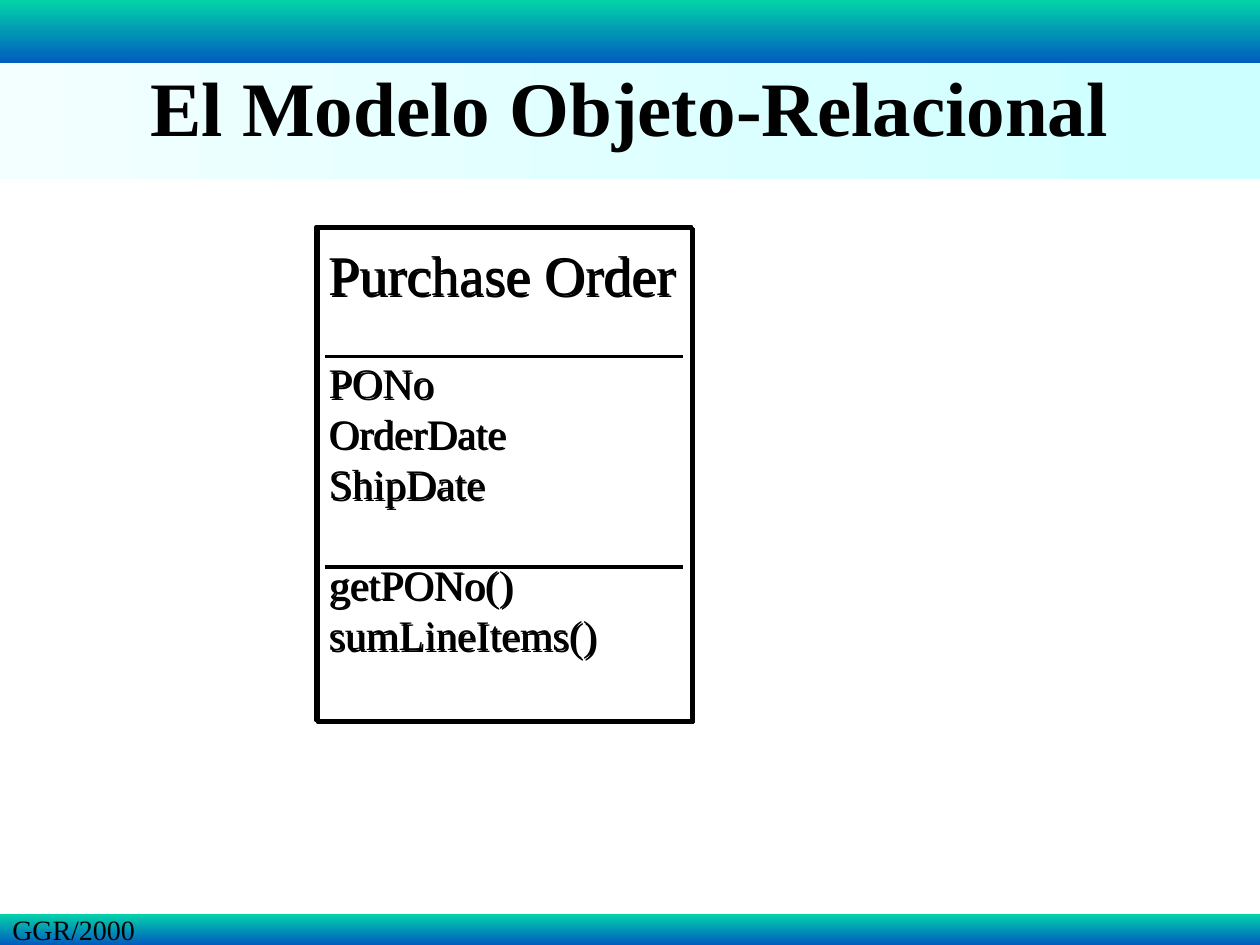
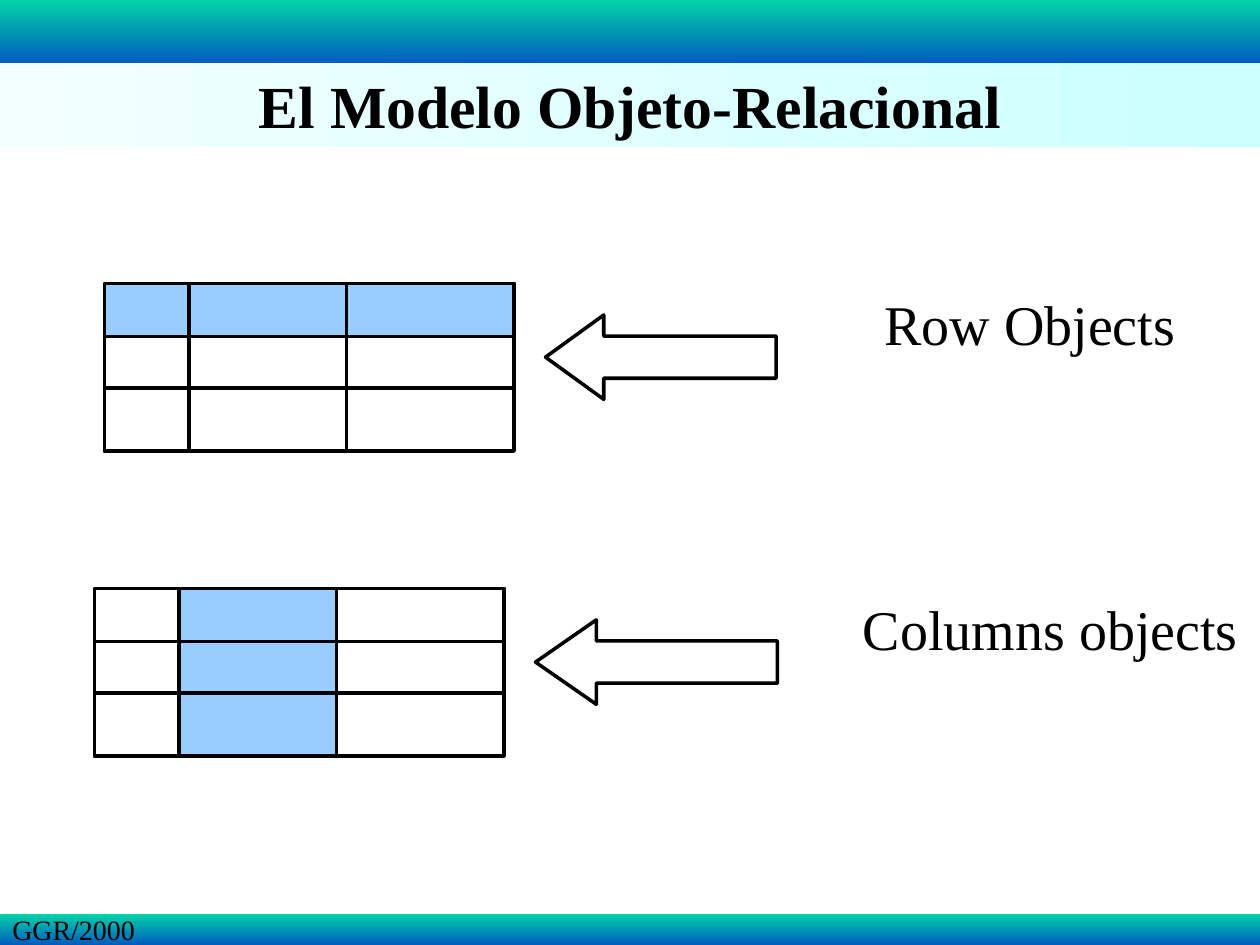
from dataclasses import dataclass

from lxml import etree
from pptx import Presentation
from pptx.dml.color import RGBColor
from pptx.enum.shapes import MSO_CONNECTOR, MSO_SHAPE
from pptx.enum.text import MSO_ANCHOR, PP_ALIGN
from pptx.oxml import parse_xml
from pptx.oxml.ns import nsdecls, qn
from pptx.shapes.autoshape import Shape
from pptx.slide import Slide
from pptx.util import Inches, Pt

RECT, ARROW = MSO_SHAPE.RECTANGLE, MSO_SHAPE.LEFT_ARROW
STRAIGHT = MSO_CONNECTOR.STRAIGHT
TOP, MIDDLE = MSO_ANCHOR.TOP, MSO_ANCHOR.MIDDLE
LEFT, CENTER = PP_ALIGN.LEFT, PP_ALIGN.CENTER

BLACK = RGBColor(0x00, 0x00, 0x00)
SKY = RGBColor(0x99, 0xCC, 0xFF)
GREEN = RGBColor(0x03, 0xD4, 0xA8)
BLUE = RGBColor(0x00, 0x5C, 0xBF)
PALE = RGBColor(0xF3, 0xFF, 0xFF)
AQUA = RGBColor(0xCC, 0xFF, 0xFF)

FONT = "Times New Roman"
WIDTH, HEIGHT = 10, 7.5
STROKE = Pt(2)

# Grid edges, measured from the grid's left top corner
COLS = (0, 0.67, 1.92, 3.25)
ROWS = (0, 0.42, 0.83, 1.33)


@dataclass(frozen=True)
class Box:
    left: float
    top: float
    width: float
    height: float

    def emu(self) -> tuple[int, int, int, int]:
        return (Inches(self.left), Inches(self.top),
                Inches(self.width), Inches(self.height))


@dataclass(frozen=True)
class Line:
    text: str
    size: float
    before: float = 0


@dataclass(frozen=True)
class Sample:
    """A grid with a shaded part, its arrow and its caption."""
    left: float
    top: float
    shade: str
    arrow: Box
    point: float
    label: str
    place: Box


CLASS = (
    Line("Purchase Order", 32),
    Line("PONo", 24, 28.7), Line("OrderDate", 24), Line("ShipDate", 24),
    Line("getPONo()", 24, 28.7), Line("sumLineItems()", 24),
)
SAMPLES = (
    Sample(0.83, 2.25, "head", Box(4.33, 2.5, 1.83, 0.67), 0.69,
           "Row Objects", Box(6.92, 2.25, 2.75, 0.64)),
    Sample(0.75, 4.67, "second", Box(4.25, 4.92, 1.92, 0.67), 0.72,
           "Columns objects", Box(6.75, 4.67, 3.25, 0.64)),
)


def write(shape: Shape, lines: tuple[Line, ...], align=LEFT, anchor=TOP,
          inset: float = 0.05, bold: bool = False) -> None:
    frame = shape.text_frame
    frame.word_wrap = True
    frame.vertical_anchor = anchor
    frame.margin_top = Inches(inset)
    for i, line in enumerate(lines):
        para = frame.paragraphs[0] if i == 0 else frame.add_paragraph()
        para.text = line.text
        para.alignment = align
        para.space_before = Pt(line.before)
        font = para.font
        font.name, font.size, font.bold = FONT, Pt(line.size), bold
        font.color.rgb = BLACK


def band(slide: Slide, box: Box, start: RGBColor, end: RGBColor,
         angle: int) -> Shape:
    shape = slide.shapes.add_shape(RECT, *box.emu())
    shape.shadow.inherit = False
    shape.line.fill.background()
    shape.fill.gradient()
    shape.fill.gradient_angle = angle
    for stop, color in zip(shape.fill.gradient_stops, (start, end)):
        stop.color.rgb = color
    return shape


def outline(slide: Slide, kind: MSO_SHAPE, box: Box,
            fill: RGBColor | None = None) -> Shape:
    shape = slide.shapes.add_shape(kind, *box.emu())
    shape.shadow.inherit = False
    if fill is None:
        shape.fill.background()
    else:
        shape.fill.solid()
        shape.fill.fore_color.rgb = fill
    shape.line.color.rgb = BLACK
    shape.line.width = STROKE
    return shape


def rule(slide: Slide, left: float, top: float, right: float,
         base: float) -> None:
    line = slide.shapes.add_connector(
        STRAIGHT, Inches(left), Inches(top), Inches(right), Inches(base))
    line.line.color.rgb = BLACK
    line.line.width = STROKE
    etree.SubElement(line._element.spPr, qn("a:effectLst"))


def cast(shape: Shape) -> None:
    """Give the shape a small, hard black shadow."""
    effects = shape._element.spPr.find(qn("a:effectLst"))
    effects.append(parse_xml(
        f'<a:outerShdw {nsdecls("a")} dist="17780" dir="2700000" '
        f'algn="ctr" rotWithShape="0"><a:srgbClr val="{BLACK}"/>'
        '</a:outerShdw>'))


def grid(slide: Slide, item: Sample) -> None:
    """Draw the frame, the head row, two columns and the inner rules."""
    left, top = item.left, item.top
    wide, high = COLS[-1], ROWS[-1]
    parts = {
        "frame": Box(left, top, wide, high),
        "head": Box(left, top, wide, ROWS[1]),
        "first": Box(left, top, COLS[1], high),
        "second": Box(left + COLS[1], top, COLS[2] - COLS[1], high),
    }
    for name, box in parts.items():
        outline(slide, RECT, box, SKY if name == item.shade else None)
    for y in ROWS[1:-1]:
        rule(slide, left, top + y, left + wide, top + y)
    for x in COLS[1:-1]:
        rule(slide, left + x, top, left + x, top + high)


def frame(deck: Presentation, top: float, height: float,
          size: float) -> Slide:
    """Add a slide with its title, top band and footer."""
    slide = deck.slides.add_slide(deck.slide_layouts[6])
    title = band(slide, Box(0, top, WIDTH, height), PALE, AQUA, 0)
    write(title, (Line("El Modelo Objeto-Relacional", size),),
          align=CENTER, bold=True)
    band(slide, Box(0, 0, WIDTH, 0.5), GREEN, BLUE, 270)
    foot = band(slide, Box(0, HEIGHT - 0.25, WIDTH, 0.25), GREEN, BLUE, 270)
    write(foot, (Line("GGR/2000", 16),), anchor=MIDDLE)
    return slide


def order(deck: Presentation) -> None:
    slide = frame(deck, 0.42, 1, 44)
    card = outline(slide, RECT, Box(2.51, 1.8, 2.98, 3.92))
    cast(card)
    write(card, CLASS, inset=0.1)
    for y in (2.83, 4.5):
        rule(slide, 2.58, y, 5.42, y)


def objects(deck: Presentation) -> None:
    slide = frame(deck, 0.5, 0.67, 34.1)
    for item in SAMPLES:
        grid(slide, item)
        arrow = outline(slide, ARROW, item.arrow)
        arrow.adjustments[0] = 0.5
        arrow.adjustments[1] = item.point
        label = slide.shapes.add_textbox(*item.place.emu())
        write(label, (Line(item.label, 32),))


def main() -> None:
    deck = Presentation()
    deck.slide_width, deck.slide_height = Inches(WIDTH), Inches(HEIGHT)
    order(deck)
    objects(deck)
    deck.save("out.pptx")


if __name__ == "__main__":
    main()
